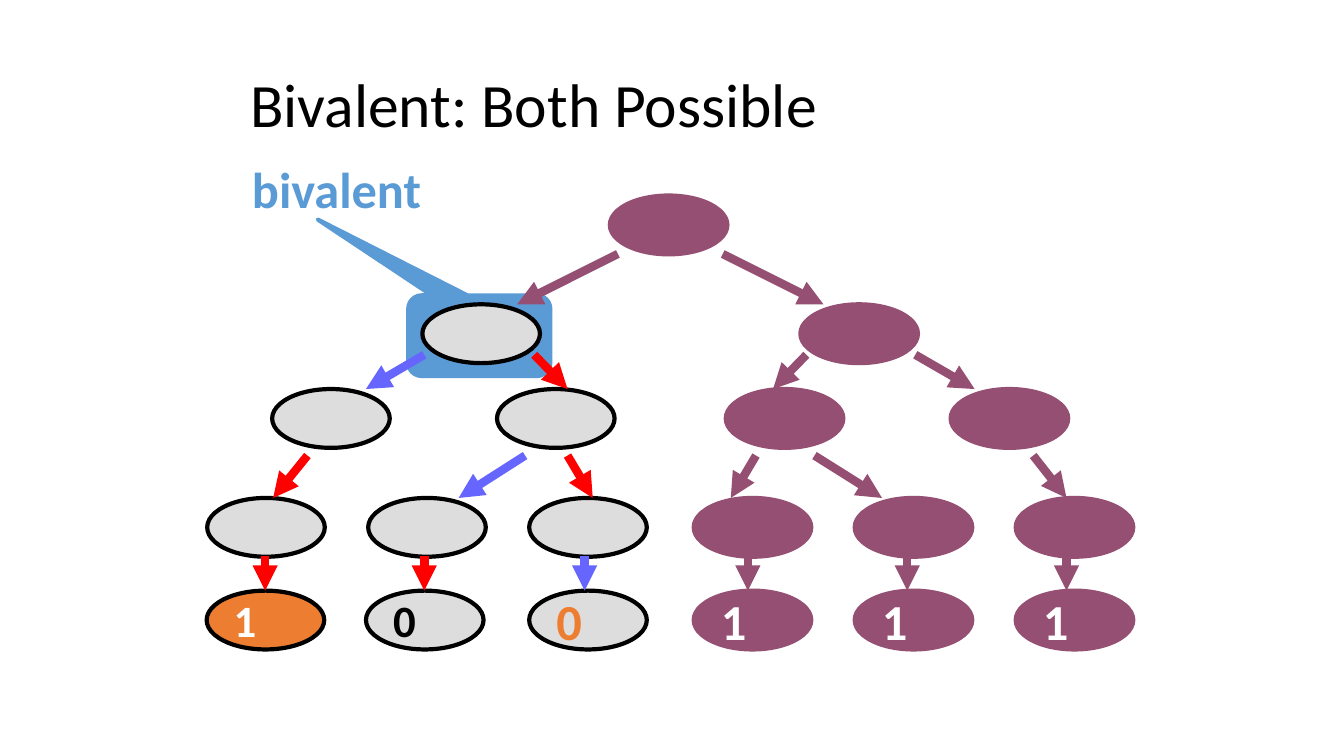
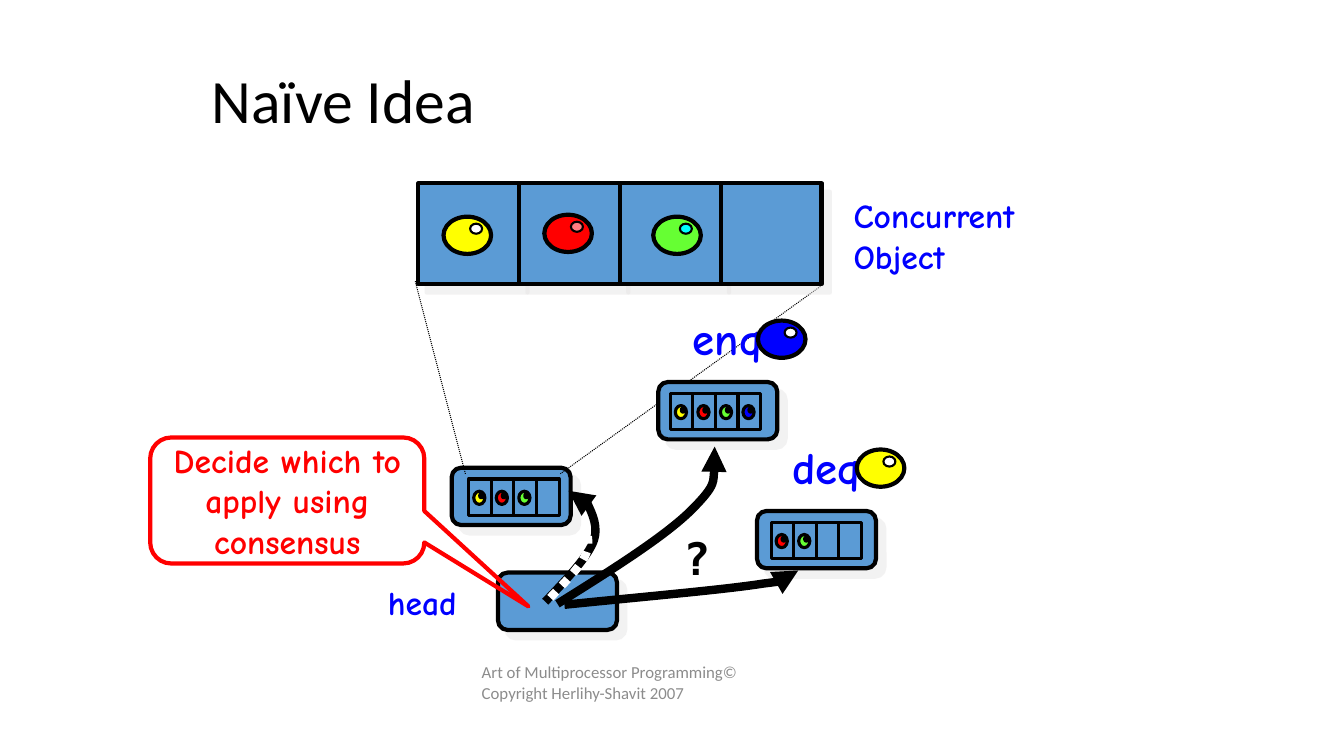
import itertools

import pptx
from lxml import etree
from pptx.dml.color import RGBColor
from pptx.enum.dml import MSO_LINE
from pptx.enum.shapes import MSO_CONNECTOR, MSO_SHAPE
from pptx.enum.text import MSO_ANCHOR, MSO_AUTO_SIZE, PP_ALIGN
from pptx.oxml.ns import qn
from pptx.util import Pt

BLACK = RGBColor(0x00, 0x00, 0x00)
WHITE = RGBColor(0xFF, 0xFF, 0xFF)
LIGHT_GRAY = RGBColor(0xDD, 0xDD, 0xDD)
FOOTER_GRAY = RGBColor(0x8C, 0x8C, 0x8C)
PLUM = RGBColor(0x95, 0x4F, 0x72)
STEEL = RGBColor(0x5B, 0x9B, 0xD5)
ORANGE = RGBColor(0xED, 0x7D, 0x31)
VIOLET = RGBColor(0x66, 0x66, 0xFF)
RED = RGBColor(0xFF, 0x00, 0x00)
PINK = RGBColor(0xFF, 0x7C, 0x80)
GREEN = RGBColor(0x66, 0xFF, 0x33)
CYAN = RGBColor(0x00, 0xFF, 0xFF)
YELLOW = RGBColor(0xFF, 0xFF, 0x00)
BLUE = RGBColor(0x00, 0x00, 0xFF)
SHADOW = RGBColor(0xE7, 0xE6, 0xE6)

SANS = "Calibri"
COMIC = "Comic Neue"
MONO = "DejaVu Sans Mono"

# Ball colour and highlight colour
YELLOW_BALL = (YELLOW, WHITE)
RED_BALL = (RED, PINK)
GREEN_BALL = (GREEN, CYAN)
BLUE_BALL = (BLUE, WHITE)

NODE_W, NODE_H = 84, 42
ITEM_W, ITEM_H = 85, 41
CELL_STEP = 16.1


def write(tf, lines, size, color, font=SANS, bold=False,
          align=PP_ALIGN.LEFT, anchor=MSO_ANCHOR.TOP, wrap=True):
    tf.word_wrap = wrap
    tf.auto_size = MSO_AUTO_SIZE.NONE
    tf.vertical_anchor = anchor
    for i, line in enumerate(lines):
        p = tf.add_paragraph() if i else tf.paragraphs[0]
        p.alignment = align
        r = p.add_run()
        r.text = line
        r.font.name = font
        r.font.size = Pt(size)
        r.font.bold = bold
        r.font.color.rgb = color


def add_title(s, text, left, top):
    sp = s.shapes.title
    sp.left, sp.top, sp.width, sp.height = Pt(left), Pt(top), Pt(612), Pt(90)
    write(sp.text_frame, [text], 44, BLACK, anchor=MSO_ANCHOR.MIDDLE)
    sp.text_frame.paragraphs[0].line_spacing = 0.9


def add_label(s, lines, left, top, width, height, size, color, **style):
    sp = s.shapes.add_textbox(Pt(left), Pt(top), Pt(width), Pt(height))
    write(sp.text_frame, lines, size, color, **style)


def add_box(s, kind, left, top, width, height, fill, line=BLACK, weight=3,
            shadow=False):
    sp = s.shapes.add_shape(kind, Pt(left), Pt(top), Pt(width), Pt(height))
    if fill is None:
        sp.fill.background()
    else:
        sp.fill.solid()
        sp.fill.fore_color.rgb = fill
    sp.line.color.rgb = line
    sp.line.width = Pt(weight)
    sp.shadow.inherit = False
    if shadow:
        cast_shadow(sp)
    return sp


def cast_shadow(sp):
    effects = sp._element.xpath("./p:spPr/a:effectLst")[0]
    outer = etree.SubElement(effects, qn("a:outerShdw"), blurRad="0",
                             dist=str(Pt(8.5)), dir="2700000", algn="ctr",
                             rotWithShape="0")
    color = etree.SubElement(outer, qn("a:srgbClr"), val=str(SHADOW))
    etree.SubElement(color, qn("a:alpha"), val="50000")


def add_arrowhead(sp):
    ln = sp._element.xpath("./p:spPr/a:ln")[0]
    etree.SubElement(ln, qn("a:tailEnd"), type="triangle")


def add_line(s, x1, y1, x2, y2, color, weight, dash=None, arrow=False):
    c = s.shapes.add_connector(MSO_CONNECTOR.STRAIGHT,
                               Pt(x1), Pt(y1), Pt(x2), Pt(y2))
    c.line.color.rgb = color
    c.line.width = Pt(weight)
    if dash:
        c.line.dash_style = dash
    if arrow:
        add_arrowhead(c)
    etree.SubElement(c._element.spPr, qn("a:effectLst"))


def add_curve(s, points, color, dash=None, arrow=False):
    """Draw Bézier segments: a start, then two controls and an end for each."""
    pts = [(Pt(x), Pt(y)) for x, y in points]
    fb = s.shapes.build_freeform(*pts[0])
    fb.add_line_segments(pts[1:], close=False)
    sp = fb.convert_to_shape()
    steps = sp._element.xpath(".//a:lnTo")
    for i in range(0, len(steps), 3):
        bezier = etree.Element(qn("a:cubicBezTo"))
        steps[i].addprevious(bezier)
        for step in steps[i:i + 3]:
            bezier.append(step[0])
            step.getparent().remove(step)
    sp.fill.background()
    sp.line.color.rgb = color
    sp.line.width = Pt(6)
    if dash:
        sp.line.dash_style = dash
    sp.shadow.inherit = False
    if arrow:
        add_arrowhead(sp)


def add_node(s, left, top, fill, line, text="", size=36, color=WHITE):
    sp = add_box(s, MSO_SHAPE.OVAL, left, top, NODE_W, NODE_H, fill, line)
    if text:
        write(sp.text_frame, [text], size, color, bold=True,
              anchor=MSO_ANCHOR.MIDDLE, wrap=False)


def add_ball(s, left, top, colors):
    fill, shine = colors
    add_box(s, MSO_SHAPE.OVAL, left, top, 34, 26.6, fill)
    add_box(s, MSO_SHAPE.OVAL, left + 19, top + 5, 8.6, 7.2, shine, weight=1.5)


def add_small_ball(s, left, top, colors):
    fill, shine = colors
    add_box(s, MSO_SHAPE.OVAL, left, top, 8, 9.4, fill, weight=2.25)
    add_box(s, MSO_SHAPE.OVAL, left + 4.3, top + 1.8, 2.2, 2.9, shine,
            weight=2.25)


def add_list_item(s, left, top):
    add_box(s, MSO_SHAPE.ROUNDED_RECTANGLE, left, top, ITEM_W, ITEM_H, STEEL,
            shadow=True)


def add_queue_item(s, left, top, indent, balls):
    """Draw a list item that holds a four-cell queue."""
    add_list_item(s, left, top)
    cells = [left + indent + i * CELL_STEP for i in range(4)]
    for x in cells:
        add_box(s, MSO_SHAPE.RECTANGLE, x, top + 8, 16.4, 26, STEEL,
                weight=2.25)
    for x, ball in zip(cells, balls):
        add_small_ball(s, x + 3.6, top + 16.8, ball)


def build_bivalent(s):
    add_title(s, "Bivalent: Both Possible", 171.4, 31.7)
    callout = add_box(s, MSO_SHAPE.ROUNDED_RECTANGULAR_CALLOUT,
                      291.6, 211, 101.5, 57.6, STEEL, STEEL)
    callout.adjustments[0], callout.adjustments[1] = -1.137, -1.441
    add_label(s, ["bivalent"], 159, 109.4, 149, 50.4, 36, STEEL, bold=True,
              align=PP_ALIGN.RIGHT)

    # Node top, then left edges in the undecided and the decided subtree
    levels = [
        (139.7, [], [435.6]),
        (217.4, [301.7], [571.7]),
        (277.9, [194.4, 355], [518.4, 679]),
        (355.7, [148, 263, 378], [495.5, 610.5, 725.5]),
    ]
    for top, undecided, decided in levels:
        for x in undecided:
            add_node(s, x, top, LIGHT_GRAY, BLACK)
        for x in decided:
            add_node(s, x, top, PLUM, PLUM)

    leaves = [
        (147.6, ORANGE, BLACK, "1", 32, WHITE),
        (261.4, LIGHT_GRAY, BLACK, "0", 32, BLACK),
        (378, LIGHT_GRAY, BLACK, "0", 36, ORANGE),
    ] + [(x, PLUM, PLUM, "1", 36, WHITE) for x in levels[-1][2]]
    for x, *style in leaves:
        add_node(s, x, 421.9, *style)

    # Start and end heights, then start x, end x and colour of each arrow
    moves = [
        (181.4, 217.4, [(441.4, 369.4, PLUM), (516.2, 588.2, PLUM)]),
        (253.4, 277.9, [(303.1, 261.4, VIOLET), (381.6, 405.4, RED),
                        (576, 552.2, PLUM), (653.8, 696.2, PLUM)]),
        (325.4, 355.7, [(219.6, 195.1, RED), (375.1, 327.6, VIOLET),
                        (405.4, 423.4, RED), (540, 522, PLUM),
                        (581.8, 630, PLUM), (738, 761.8, PLUM)]),
        (397.4, 421.9, [(189.4, 189.4, RED), (303.1, 303.1, RED),
                        (417.6, 417.6, VIOLET), (534.2, 534.2, PLUM),
                        (648, 648, PLUM), (761.8, 761.8, PLUM)]),
    ]
    for y1, y2, arrows in moves:
        for x1, x2, color in arrows:
            add_line(s, x1, y1, x2, y2, color, 6, arrow=True)


def build_naive(s):
    comic = {"font": COMIC, "bold": True}
    add_title(s, "Naïve Idea", 144, 28.8)
    add_label(s, ["Art of Multiprocessor Programming© "
                  "Copyright Herlihy-Shavit 2007"],
              337, 469.4, 228, 36, 12, FOOTER_GRAY, anchor=MSO_ANCHOR.MIDDLE)

    add_list_item(s, 355.7, 409)
    add_label(s, ["head"], 270, 411.8, 70, 36, 24, BLUE, **comic)
    add_queue_item(s, 322.6, 334.1, 12.2,
                   [(YELLOW, YELLOW), RED_BALL, GREEN_BALL])
    add_line(s, 296.6, 200.9, 332.6, 339.1, BLACK, 0.75, MSO_LINE.ROUND_DOT)
    add_line(s, 586.1, 204.5, 400.3, 338.4, BLACK, 0.75, MSO_LINE.ROUND_DOT)
    add_curve(s, [(389.5, 429.8), (403.9, 414.7), (418.3, 399.6),
                  (423.4, 388.1), (428.4, 376.6), (422.6, 366.5),
                  (419.8, 360), (416.9, 354.2), (411.1, 352.1),
                  (406.1, 350.6)], BLACK, arrow=True)

    for i in range(4):
        add_box(s, MSO_SHAPE.RECTANGLE, 298.8 + 72 * i, 131, 72, 72, STEEL,
                shadow=True)
    add_ball(s, 316.8, 154.8, YELLOW_BALL)
    add_ball(s, 388.8, 153.4, RED_BALL)
    add_ball(s, 466.6, 154.8, GREEN_BALL)
    add_label(s, ["Concurrent", "Object"], 602.6, 136, 150.5, 64.8, 24, BLUE,
              **comic)

    add_label(s, ["deq"], 558.7, 310.3, 80, 45.4, 32, BLUE, **comic)
    add_ball(s, 612, 321.1, YELLOW_BALL)
    add_queue_item(s, 540.7, 365, 10.1, [RED_BALL, GREEN_BALL])
    add_curve(s, [(403.2, 432), (460.1, 426.2), (517.7, 421.2),
                  (545, 416.9), (573.1, 413.3), (571.7, 410.4),
                  (570.2, 407.5)], BLACK, arrow=True)

    add_label(s, ["enq"], 487.8, 218.2, 80, 45.4, 32, BLUE, **comic)
    add_ball(s, 541.4, 229, BLUE_BALL)
    add_queue_item(s, 470.2, 272.9, 8.6,
                   [YELLOW_BALL, RED_BALL, GREEN_BALL, (BLUE, CYAN)])
    add_curve(s, [(398.2, 431.3), (436.3, 407.5), (475.2, 383),
                  (493.9, 364.3), (512.6, 345.6), (511.2, 331.9),
                  (510.5, 319)], BLACK, arrow=True)
    add_label(s, ["?"], 481, 375.8, 34, 45.4, 32, BLACK, font=MONO, bold=True)
    add_curve(s, [(393.1, 427), (402.5, 416.9), (411.8, 407.5),
                  (416.2, 400.3), (420.5, 393.1), (420.5, 388.1),
                  (419.8, 383)], WHITE, MSO_LINE.ROUND_DOT)

    callout = add_box(s, MSO_SHAPE.ROUNDED_RECTANGULAR_CALLOUT,
                      107.3, 312.5, 195.8, 90, None, RED)
    callout.adjustments[0], callout.adjustments[1] = 0.88, 0.841
    write(callout.text_frame, ["Decide which to apply using consensus"], 24,
          RED, align=PP_ALIGN.CENTER, anchor=MSO_ANCHOR.MIDDLE, **comic)


def main():
    prs = pptx.Presentation()
    prs.slide_width, prs.slide_height = Pt(960), Pt(540)
    title_only = prs.slide_layouts[5]
    for build in (build_bivalent, build_naive):
        build(prs.slides.add_slide(title_only))
    prs.save("out.pptx")


if __name__ == "__main__":
    main()
